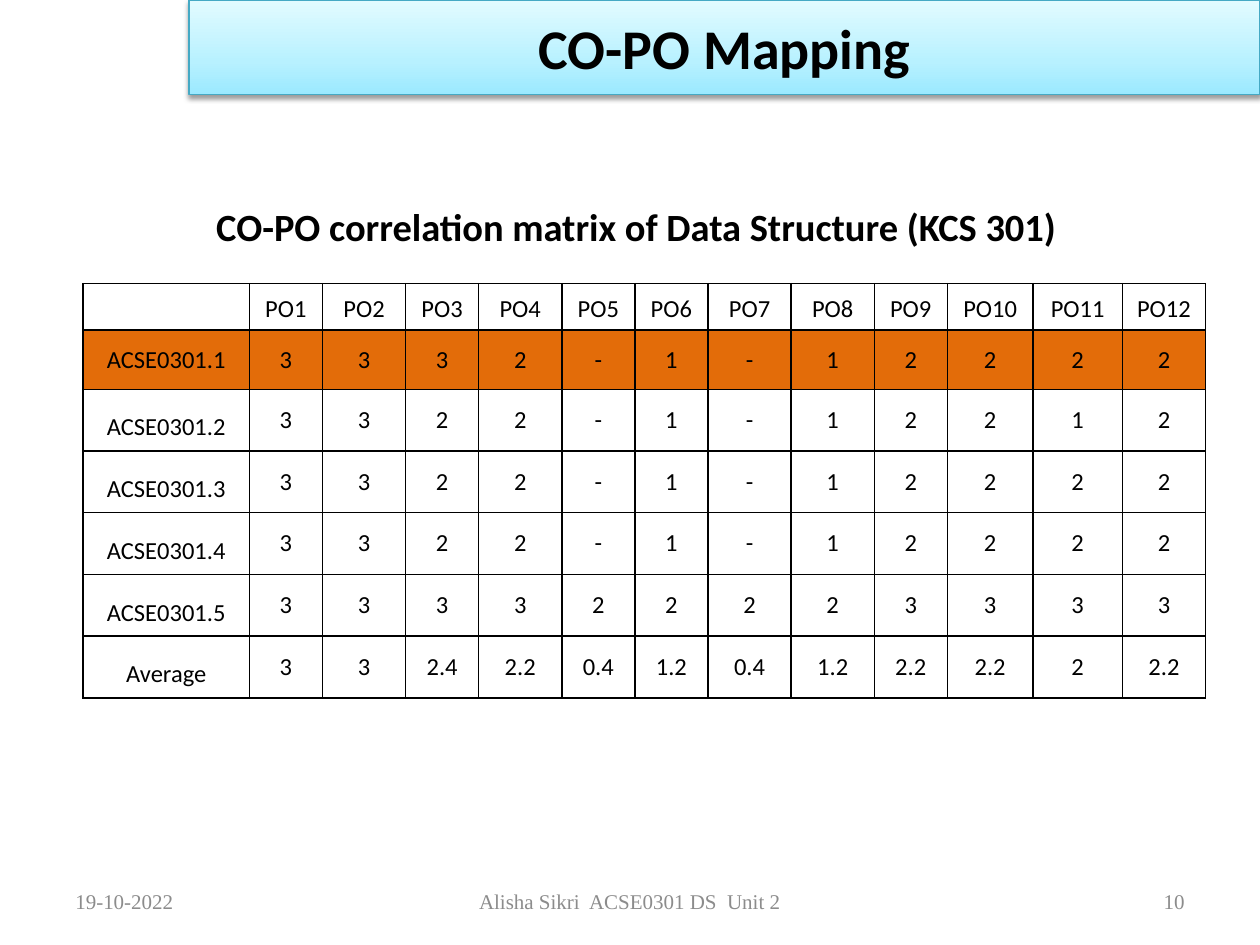
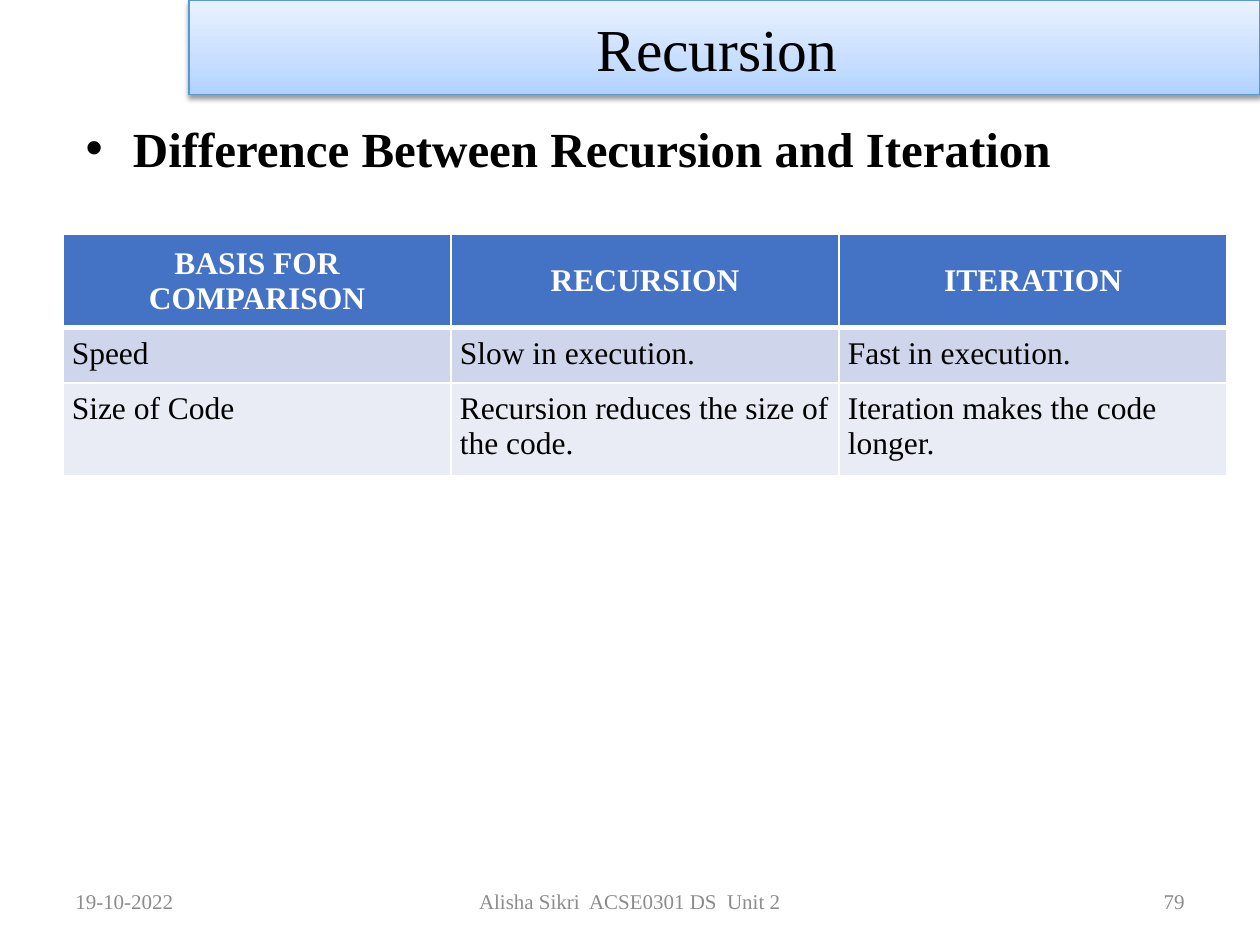
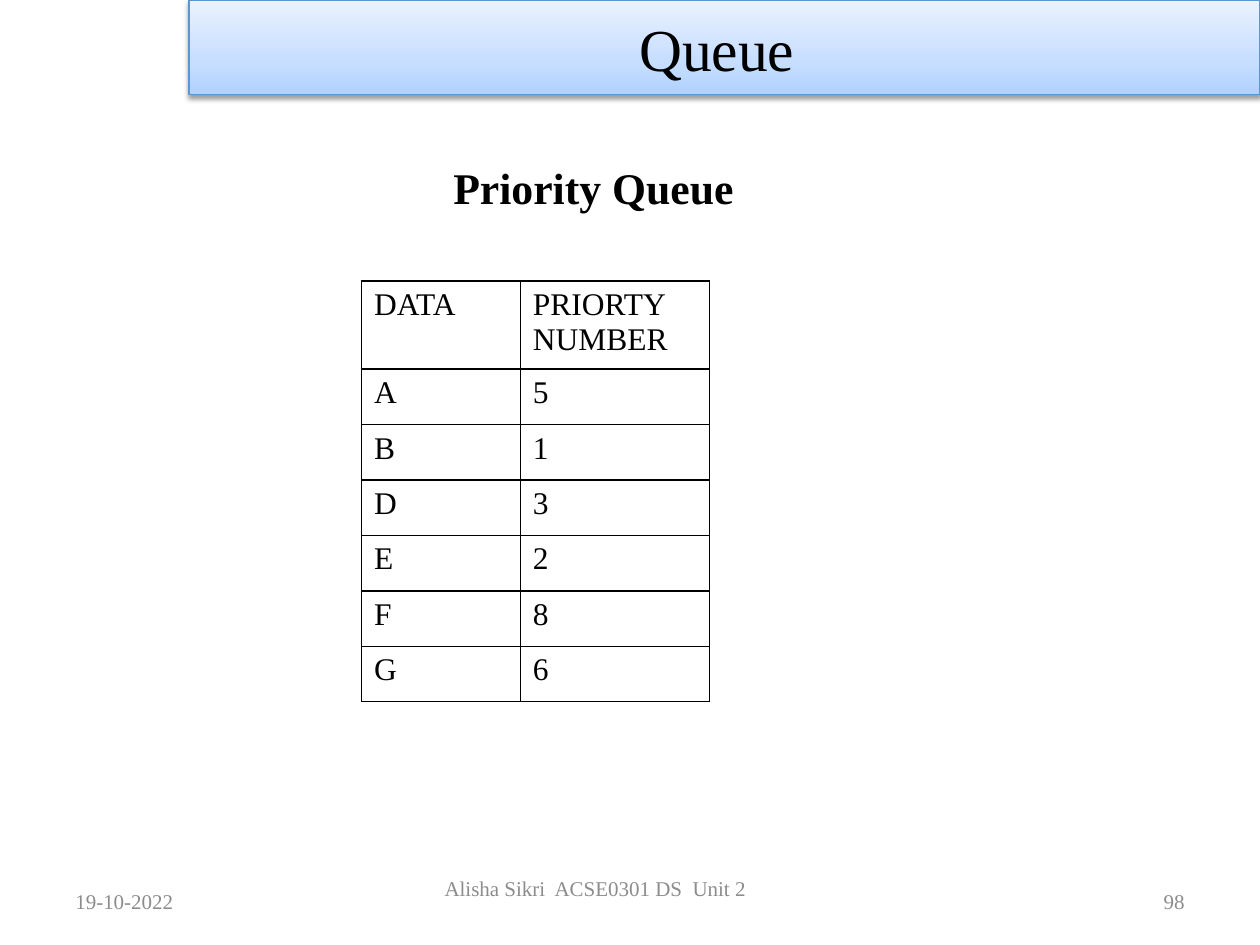
from pptx import Presentation
from pptx.dml.color import RGBColor
from pptx.enum.text import MSO_ANCHOR, PP_ALIGN
from pptx.oxml import parse_xml
from pptx.oxml.ns import nsdecls
from pptx.util import Inches, Pt

COLORS = {
    "black": "000000",
    "white": "FFFFFF",
    "footer": "8C8C8C",
    "highlight": "E36C09",
    "header": "4472C4",
    "band_dark": "CFD5EA",
    "band_light": "E9EBF5",
}
AQUA = {"stops": {0: "9BE9FF", 35: "B8F1FF", 100: "E2FBFF"}, "line": "45A9C4"}
BLUE = {"stops": {0: "B0D2FF", 35: "C7DEFF", 100: "EAF2FF"}, "line": "5698D3"}
SERIF = "Times New Roman"
SANS = "Calibri"
DATE = "19-10-2022"
FOOTER = "Alisha Sikri  ACSE0301 DS  Unit 2"
TITLE_AND_BODY = 1
TITLE_ONLY = 5


def rgb(name):
    return RGBColor.from_string(COLORS.get(name, name))


class SlideBuilder:
    def __init__(self):
        self.deck = Presentation()
        self.deck.slide_width = Inches(10)
        self.deck.slide_height = Inches(7.5)
        self.page = None

    def fill_text(self, frame, text, size, font=SERIF, color="black", bold=False,
                  align=PP_ALIGN.LEFT, spacing=None):
        frame.text = text
        para = frame.paragraphs[0]
        para.alignment = align
        para.space_before = Pt(0)
        if spacing:
            para.line_spacing = spacing
        for target in [para, *para.runs]:
            target.font.size = Pt(size)
            target.font.name = font
            target.font.bold = bold
            target.font.color.rgb = rgb(color)

    def place(self, item, left, top, width, height):
        item.left, item.top = Inches(left), Inches(top)
        item.width, item.height = Inches(width), Inches(height)

    def inset(self, target, left=0.1, top=0.05, right=0.1, bottom=0.05):
        target.margin_left, target.margin_top = Inches(left), Inches(top)
        target.margin_right, target.margin_bottom = Inches(right), Inches(bottom)

    def start(self, layout, title, look, size=34, font=SERIF, bold=False, right=0.22):
        self.page = self.deck.slides.add_slide(self.deck.slide_layouts[layout])
        band = self.page.shapes.title
        self.place(band, 1.5, 0, 8.5, 0.75)
        stops = "".join(
            f'<a:gs pos="{position * 1000}"><a:srgbClr val="{color}"/></a:gs>'
            for position, color in look["stops"].items())
        properties = band.element.spPr
        properties.append(parse_xml(
            f'<a:gradFill {nsdecls("a")} rotWithShape="1"><a:gsLst>{stops}</a:gsLst>'
            '<a:lin ang="16200000" scaled="0"/></a:gradFill>'))
        band.line.color.rgb = rgb(look["line"])
        band.line.width = Pt(0.75)
        properties.append(parse_xml(
            f'<a:effectLst {nsdecls("a")}><a:outerShdw blurRad="{Pt(3.1)}" '
            f'dist="{Pt(1.6)}" dir="5400000" rotWithShape="0"><a:srgbClr val="000000">'
            '<a:alpha val="38000"/></a:srgbClr></a:outerShdw></a:effectLst>'))
        frame = band.text_frame
        self.inset(frame, right=right)
        frame.vertical_anchor = MSO_ANCHOR.MIDDLE
        self.fill_text(frame, title, size, font, bold=bold, align=PP_ALIGN.CENTER)

    def text(self, words, left, top, width, height, size, anchor=MSO_ANCHOR.TOP,
             insets=None, **style):
        box = self.page.shapes.add_textbox(
            Inches(left), Inches(top), Inches(width), Inches(height))
        frame = box.text_frame
        frame.word_wrap = True
        frame.vertical_anchor = anchor
        self.inset(frame, **(insets or {}))
        self.fill_text(frame, words, size, **style)

    def footer(self, number, left=2.75, width=5.5, center_insets=None):
        for words, x, box_width, align, insets in (
            (DATE, 0.5, 2.33, PP_ALIGN.LEFT, None),
            (FOOTER, left, width, PP_ALIGN.CENTER, center_insets or {"right": 1.1}),
            (str(number), 7.17, 2.33, PP_ALIGN.RIGHT, None),
        ):
            self.text(words, x, 6.95, box_width, 0.4, 12, MSO_ANCHOR.MIDDLE,
                      insets, color="footer", align=align)

    def bullet(self, words):
        body = self.page.placeholders[1]
        self.place(body, 0.58, 0.89, 9, 4.95)
        frame = body.text_frame
        properties = frame.paragraphs[0]._p.get_or_add_pPr()
        properties.set("marL", str(Inches(0.38)))
        properties.set("indent", str(Inches(-0.38)))
        properties.append(parse_xml(f'<a:buFont {nsdecls("a")} typeface="Arial"/>'))
        properties.append(parse_xml(f'<a:buChar {nsdecls("a")} char="•"/>'))
        self.fill_text(frame, words, 28, bold=True)

    def table(self, left, top, columns, heights, rows, style_cell):
        table = self.page.shapes.add_table(
            len(rows), len(columns), Inches(left), Inches(top),
            Inches(sum(columns)), Inches(sum(heights))).table
        table.first_row = table.horz_banding = False
        for column, width in zip(table.columns, columns):
            column.width = Inches(width)
        for row, height in zip(table.rows, heights):
            row.height = Inches(height)
        for row_index, values in enumerate(rows):
            for column_index, value in enumerate(values):
                style_cell(table.cell(row_index, column_index), value,
                           row_index, column_index)

    def cell(self, cell, words, size, fill=None, border="black", bottom=1,
             anchor=MSO_ANCHOR.TOP, insets=None, **style):
        properties = cell._tc.get_or_add_tcPr()
        for side, width in (("L", 1), ("R", 1), ("T", 1), ("B", bottom)):
            properties.append(parse_xml(
                f'<a:ln{side} {nsdecls("a")} w="{Pt(width)}"><a:solidFill>'
                f'<a:srgbClr val="{COLORS[border]}"/></a:solidFill></a:ln{side}>'))
        if fill:
            cell.fill.solid()
            cell.fill.fore_color.rgb = rgb(fill)
        else:
            cell.fill.background()
        cell.vertical_anchor = anchor
        self.inset(cell, **(insets or {}))
        self.fill_text(cell.text_frame, words, size, **style)


def mapping_slide(builder):
    builder.start(TITLE_ONLY, "CO-PO Mapping", AQUA, 32, SANS, True, right=0.1)
    builder.footer(10)
    builder.text("CO-PO correlation matrix of Data Structure (KCS 301)",
                 0.55, 1.56, 9, 0.47, 22, font=SANS, bold=True, align=PP_ALIGN.CENTER)
    scores = {
        "ACSE0301.1": "3 3 3 2 - 1 - 1 2 2 2 2",
        "ACSE0301.2": "3 3 2 2 - 1 - 1 2 2 1 2",
        "ACSE0301.3": "3 3 2 2 - 1 - 1 2 2 2 2",
        "ACSE0301.4": "3 3 2 2 - 1 - 1 2 2 2 2",
        "ACSE0301.5": "3 3 3 3 2 2 2 2 3 3 3 3",
        "Average": "3 3 2.4 2.2 0.4 1.2 0.4 1.2 2.2 2.2 2 2.2",
    }
    rows = [["", *(f"PO{number}" for number in range(1, 13))]]
    rows += [[label, *values.split()] for label, values in scores.items()]

    def style_cell(cell, value, row, column):
        label = row == 0 or column == 0
        spacing = 1.15 if row == 0 else 1.5 if column == 0 and row > 1 else None
        builder.cell(cell, value, 14, fill="highlight" if row == 1 else None,
                     anchor=MSO_ANCHOR.MIDDLE, font=SANS, align=PP_ALIGN.CENTER,
                     insets=dict(left=0.07, top=0, right=0.07, bottom=0) if label else None,
                     spacing=spacing)

    columns = [1.32, 0.58, 0.66, 0.58, 0.66, 0.58, 0.58, 0.66, 0.66, 0.58, 0.68, 0.71, 0.66]
    builder.table(0.66, 2.25, columns, [0.37, 0.47] + [0.49] * 5, rows, style_cell)


def recursion_slide(builder):
    builder.start(TITLE_AND_BODY, "Recursion", BLUE)
    builder.bullet("Difference Between Recursion and Iteration")
    builder.footer(79)
    rows = [
        ["BASIS FOR COMPARISON", "RECURSION", "ITERATION"],
        ["Speed", "Slow in execution.", "Fast in execution."],
        ["Size of Code", "Recursion reduces the size of the code.",
         "Iteration makes the code longer."],
    ]
    fills = ["header", "band_dark", "band_light"]

    def style_cell(cell, value, row, column):
        heading = row == 0
        builder.cell(cell, value, 18, fills[row], "white", 3 if heading else 1,
                     MSO_ANCHOR.MIDDLE if heading else MSO_ANCHOR.TOP,
                     dict(left=0.07, top=0.07, right=0.07, bottom=0.07),
                     color="white" if heading else "black", bold=heading,
                     align=PP_ALIGN.CENTER if heading else PP_ALIGN.LEFT)

    builder.table(0.5, 1.86, [3.08] * 3, [0.67, 0.43, 0.68], rows, style_cell)


def queue_slide(builder):
    builder.start(TITLE_ONLY, "Queue", BLUE)
    builder.footer(98, 3.42, 3.17, dict(left=0, right=0.56, bottom=0.25))
    builder.text("Priority Queue", 3.5, 1.23, 5.03, 0.52, 25, bold=True)
    rows = [("DATA", "PRIORTY NUMBER"), *zip("ABDEFG", "513286")]

    def style_cell(cell, value, row, column):
        builder.cell(cell, value, 18)

    builder.table(2.87, 2.23, [1.26, 1.5], [0.7] + [0.44] * 6, rows, style_cell)


def main():
    builder = SlideBuilder()
    mapping_slide(builder)
    recursion_slide(builder)
    queue_slide(builder)
    builder.deck.save("out.pptx")


if __name__ == "__main__":
    main()
